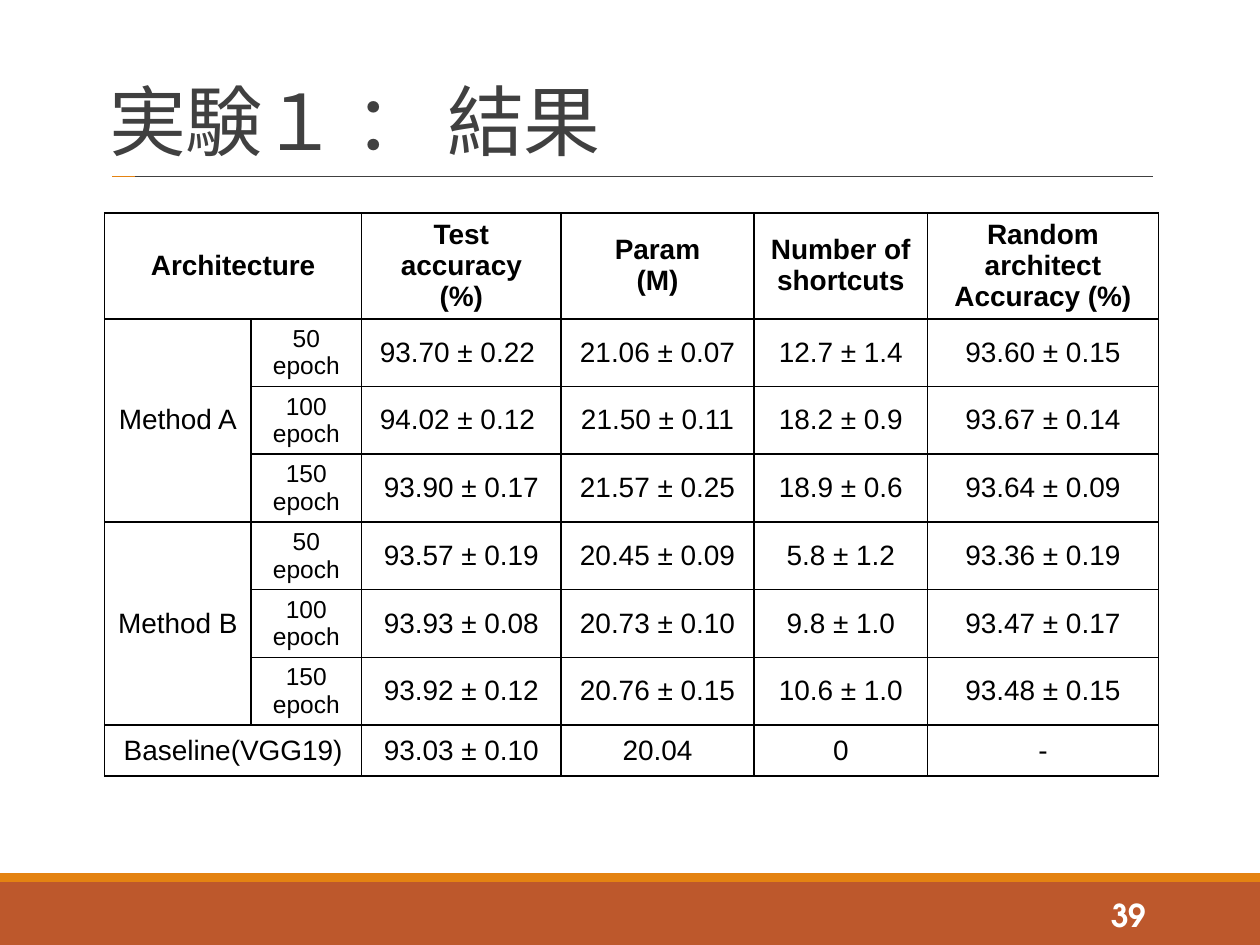
from lxml import etree
from pptx import Presentation
from pptx import util as u
from pptx.dml import color
from pptx.enum import shapes, text
from pptx.oxml import ns

COLORS = {
    "black": "000000",
    "white": "FFFFFF",
    "gray": "404040",
    "orange": "E48312",
    "rust": "BD582C",
}
TITLE_FONT = "TeX Gyre Adventor"
TABLE_FONT = "Arial"
COLUMN_WIDTHS = [2.95, 2.23, 4.02, 3.89, 3.5, 4.65]
ROW_HEIGHT = 1.03
HEADERS = [
    "Architecture", "", "Test accuracy\n(%)", "Param\n(M)",
    "Number of shortcuts", "Random architect\nAccuracy (%)",
]
EPOCHS = ["50 epoch", "100 epoch", "150 epoch"]
RESULTS = {
    "Method A": [
        ["93.70 ± 0.22 ", "21.06 ± 0.07", "12.7 ± 1.4", "93.60 ± 0.15"],
        ["94.02 ± 0.12 ", "21.50 ± 0.11", "18.2 ± 0.9", "93.67 ± 0.14"],
        ["93.90 ± 0.17", "21.57 ± 0.25", "18.9 ± 0.6", "93.64 ± 0.09"],
    ],
    "Method B": [
        ["93.57 ± 0.19", "20.45 ± 0.09", "5.8 ± 1.2", "93.36 ± 0.19"],
        ["93.93 ± 0.08", "20.73 ± 0.10", "9.8 ± 1.0", "93.47 ± 0.17"],
        ["93.92 ± 0.12", "20.76 ± 0.15", "10.6 ± 1.0", "93.48 ± 0.15"],
    ],
}
BASELINE = ["Baseline(VGG19)", "", "93.03 ± 0.10", "20.04", "0", "-"]


def rgb(name):
    return color.RGBColor.from_string(COLORS[name])


def write_text(frame, content, font=TABLE_FONT, size=16, color_name="black",
               bold=False, align=text.PP_ALIGN.CENTER, line_spacing=None,
               tracking=None):
    for index, line in enumerate(content.split("\n")):
        paragraph = frame.add_paragraph() if index else frame.paragraphs[0]
        paragraph.alignment = align
        paragraph.line_spacing = line_spacing
        run = paragraph.add_run()
        run.text = line
        run.font.name = font
        run.font.size = u.Pt(size)
        run.font.bold = bold
        run.font.color.rgb = rgb(color_name)
        if tracking is not None:
            run.font._element.set("spc", str(tracking))


def add_text_box(slide, content, left, top, width, height, anchor, **style):
    box = slide.shapes.add_textbox(
        u.Cm(left), u.Cm(top), u.Cm(width), u.Cm(height))
    box.text_frame.word_wrap = True
    box.text_frame.vertical_anchor = anchor
    write_text(box.text_frame, content, **style)


def add_band(slide, top, height, color_name):
    band = slide.shapes.add_shape(
        shapes.MSO_SHAPE.RECTANGLE, 0, u.Cm(top), u.Cm(25.4), u.Cm(height))
    band.shadow.inherit = False
    band.fill.solid()
    band.fill.fore_color.rgb = rgb(color_name)
    band.line.fill.background()


def add_rule(slide, start, end, y, color_name):
    rule = slide.shapes.add_connector(
        shapes.MSO_CONNECTOR.STRAIGHT, u.Cm(start), u.Cm(y), u.Cm(end), u.Cm(y))
    rule.line.color.rgb = rgb(color_name)
    rule.line.width = u.Pt(1)
    etree.SubElement(rule._element.spPr, ns.qn("a:effectLst"))


def set_borders(cell):
    properties = cell._tc.get_or_add_tcPr()
    for index, side in enumerate(["lnL", "lnR", "lnT", "lnB"]):
        border = etree.Element(ns.qn(f"a:{side}"), w=str(u.Pt(1)))
        fill = etree.SubElement(border, ns.qn("a:solidFill"))
        etree.SubElement(fill, ns.qn("a:srgbClr"), val=COLORS["black"])
        properties.insert(index, border)


def table_rows():
    rows = [HEADERS]
    for method, results in RESULTS.items():
        for index, (epoch, values) in enumerate(zip(EPOCHS, results)):
            rows.append(["" if index else method, epoch, *values])
    return rows + [BASELINE]


def add_results_table(slide):
    rows = table_rows()
    table = slide.shapes.add_table(
        len(rows), len(COLUMN_WIDTHS), u.Cm(2.11), u.Cm(4.29),
        u.Cm(sum(COLUMN_WIDTHS)), u.Cm(ROW_HEIGHT * len(rows))).table
    table.first_row = False
    table.horz_banding = False
    for column, width in zip(table.columns, COLUMN_WIDTHS):
        column.width = u.Cm(width)
    for row_index, values in enumerate(rows):
        table.rows[row_index].height = u.Cm(ROW_HEIGHT)
        for column_index, value in enumerate(values):
            cell = table.cell(row_index, column_index)
            cell.fill.background()
            cell.vertical_anchor = text.MSO_ANCHOR.MIDDLE
            set_borders(cell)
            if value:
                write_text(cell.text_frame, value, bold=row_index == 0,
                           size=14 if value in EPOCHS else 16)
    last = len(rows) - 1
    for row_index in (0, last):
        table.cell(row_index, 0).merge(table.cell(row_index, 1))
    for start in range(1, last, len(EPOCHS)):
        table.cell(start, 0).merge(table.cell(start + len(EPOCHS) - 1, 0))


def main():
    presentation = Presentation()
    presentation.slide_width = u.Cm(25.4)
    presentation.slide_height = u.Cm(19.05)
    slide = presentation.slides.add_slide(presentation.slide_layouts[6])
    add_band(slide, 17.78, 1.27, "rust")
    add_band(slide, 17.6, 0.18, "orange")
    add_rule(slide, 2.72, 23.24, 3.56, "gray")
    add_rule(slide, 2.26, 2.72, 3.56, "orange")
    add_results_table(slide)
    add_text_box(slide, "実験１ ： 結果", 1.96, 0.64, 21.29, 2.84,
                 text.MSO_ANCHOR.BOTTOM, font=TITLE_FONT, size=44,
                 color_name="gray", align=text.PP_ALIGN.LEFT,
                 line_spacing=0.85, tracking=-50)
    add_text_box(slide, "39", 20.62, 17.93, 2.74, 1.02,
                 text.MSO_ANCHOR.MIDDLE, font=TITLE_FONT, size=18,
                 color_name="white", bold=True, align=text.PP_ALIGN.RIGHT)
    presentation.save("out.pptx")


if __name__ == "__main__":
    main()
